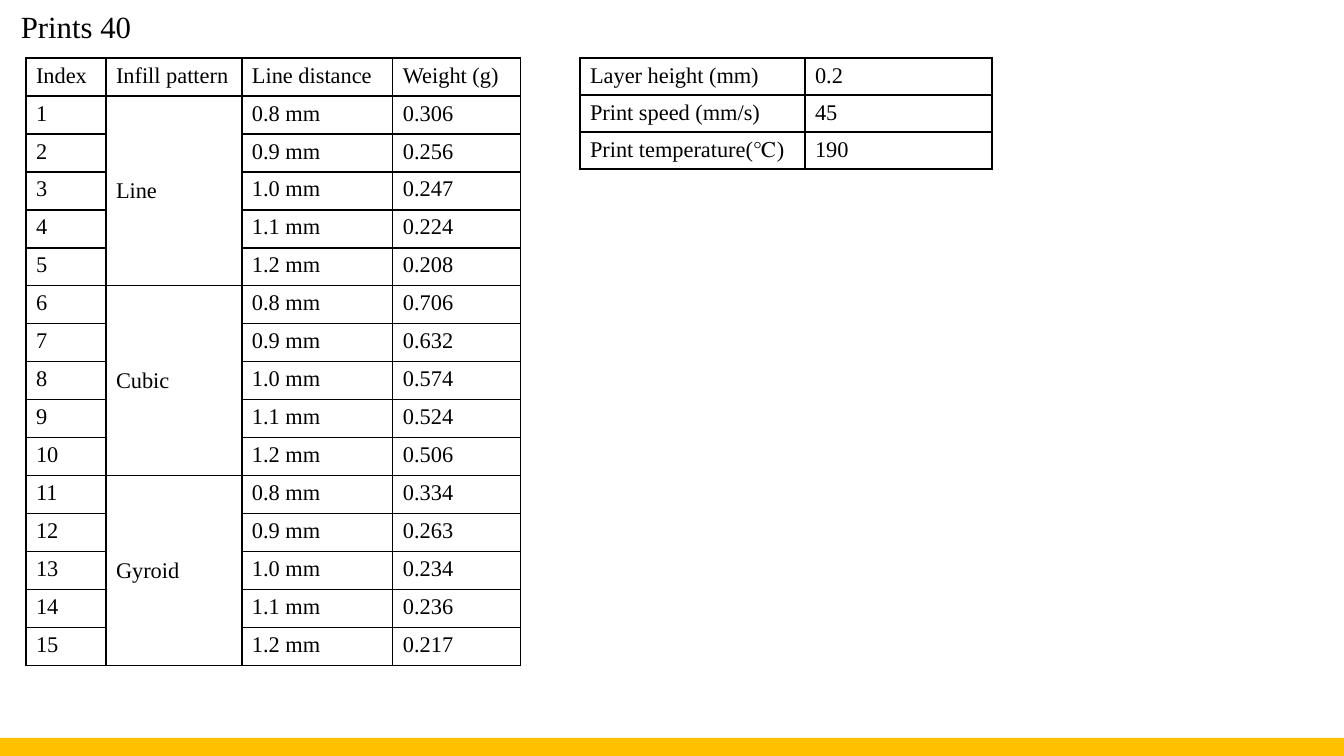
from pptx import Presentation
from pptx.dml.color import RGBColor
from pptx.enum.shapes import MSO_SHAPE as SHAPE
from pptx.enum.text import MSO_ANCHOR as ANCHOR
from pptx.oxml import parse_xml
from pptx.oxml.ns import nsdecls
from pptx.util import Emu, Pt

WIDTH, HEIGHT = 1344, 756
BAR_HEIGHT = 18
TABLE_TOP = 58

HEADINGS = ["Index", "Infill pattern", "Line distance", "Weight (g)"]
DISTANCES = ["0.8 mm", "0.9 mm", "1.0 mm", "1.1 mm", "1.2 mm"]
WEIGHTS = {
    "Line": ["0.306", "0.256", "0.247", "0.224", "0.208"],
    "Cubic": ["0.706", "0.632", "0.574", "0.524", "0.506"],
    "Gyroid": ["0.334", "0.263", "0.234", "0.236", "0.217"],
}
SETTINGS = [
    ["Layer height (mm)", "0.2"],
    ["Print speed (mm/s)", "45"],
    ["Print temperature(℃)", "190"],
]


def px(n):
    return Emu(round(n * 914400 / 100.8))


def rgb(value):
    return RGBColor.from_string(value)


def write(tf, text, size=16, color="000000", font="Times New Roman", spacing=None):
    p = tf.paragraphs[0]
    p.line_spacing = spacing
    r = p.add_run()
    r.text = text
    r.font.size = Pt(size)
    r.font.name = font
    r.font.color.rgb = rgb(color)


class Deck:
    accent = "FFC000"
    border = "000000"

    def __init__(self):
        self.prs = Presentation()
        self.prs.slide_width, self.prs.slide_height = px(WIDTH), px(HEIGHT)
        self.slide = self.prs.slides.add_slide(self.prs.slide_layouts[6])

    def bar(self, x, y, w, h):
        sp = self.slide.shapes.add_shape(SHAPE.RECTANGLE, px(x), px(y), px(w), px(h))
        sp.shadow.inherit = False
        sp.fill.solid()
        sp.fill.fore_color.rgb = rgb(self.accent)
        sp.line.fill.background()

    def title(self, text, x, y, w, h):
        tf = self.slide.shapes.add_textbox(px(x), px(y), px(w), px(h)).text_frame
        tf.word_wrap = True
        tf.vertical_anchor = ANCHOR.MIDDLE
        write(tf, text, size=22, spacing=0.9)

    def outline(self, cell):
        """Draw a 1 pt border on all four sides of a cell."""
        tc_pr = cell._tc.get_or_add_tcPr()
        for i, side in enumerate(("lnL", "lnR", "lnT", "lnB")):
            tc_pr.insert(i, parse_xml(
                f'<a:{side} {nsdecls("a")} w="{Pt(1)}"><a:solidFill>'
                f'<a:srgbClr val="{self.border}"/></a:solidFill></a:{side}>'))

    def table(self, rows, x, y, col_widths, row_height):
        """Add a plain grid; a None entry is left empty for a merge."""
        frame = self.slide.shapes.add_table(
            len(rows), len(col_widths), px(x), px(y),
            px(sum(col_widths)), px(row_height * len(rows)))
        table = frame.table
        table.first_row = table.horz_banding = False
        for column, width in zip(table.columns, col_widths):
            column.width = px(width)
        for i, row in enumerate(rows):
            table.rows[i].height = px(row_height)
            for j, text in enumerate(row):
                cell = table.cell(i, j)
                cell.fill.background()
                self.outline(cell)
                if text is not None:
                    write(cell.text_frame, text)
        return table


def main():
    deck = Deck()
    deck.bar(0, HEIGHT - BAR_HEIGHT, WIDTH, BAR_HEIGHT)
    deck.title("Prints 40", 11, 0, WIDTH - 11, 57)
    deck.table(SETTINGS, 580, TABLE_TOP, [225, 187], 37)

    rows = [HEADINGS]
    for pattern, weights in WEIGHTS.items():
        for i, (distance, weight) in enumerate(zip(DISTANCES, weights)):
            rows.append([str(len(rows)), None if i else pattern, distance, weight])
    prints = deck.table(rows, 26, TABLE_TOP, [80, 136, 151, 128], 38)
    group = len(DISTANCES)
    for top in range(1, len(rows), group):
        cell = prints.cell(top, 1)
        cell.merge(prints.cell(top + group - 1, 1))
        cell.vertical_anchor = ANCHOR.MIDDLE

    deck.prs.save("out.pptx")


if __name__ == "__main__":
    main()
